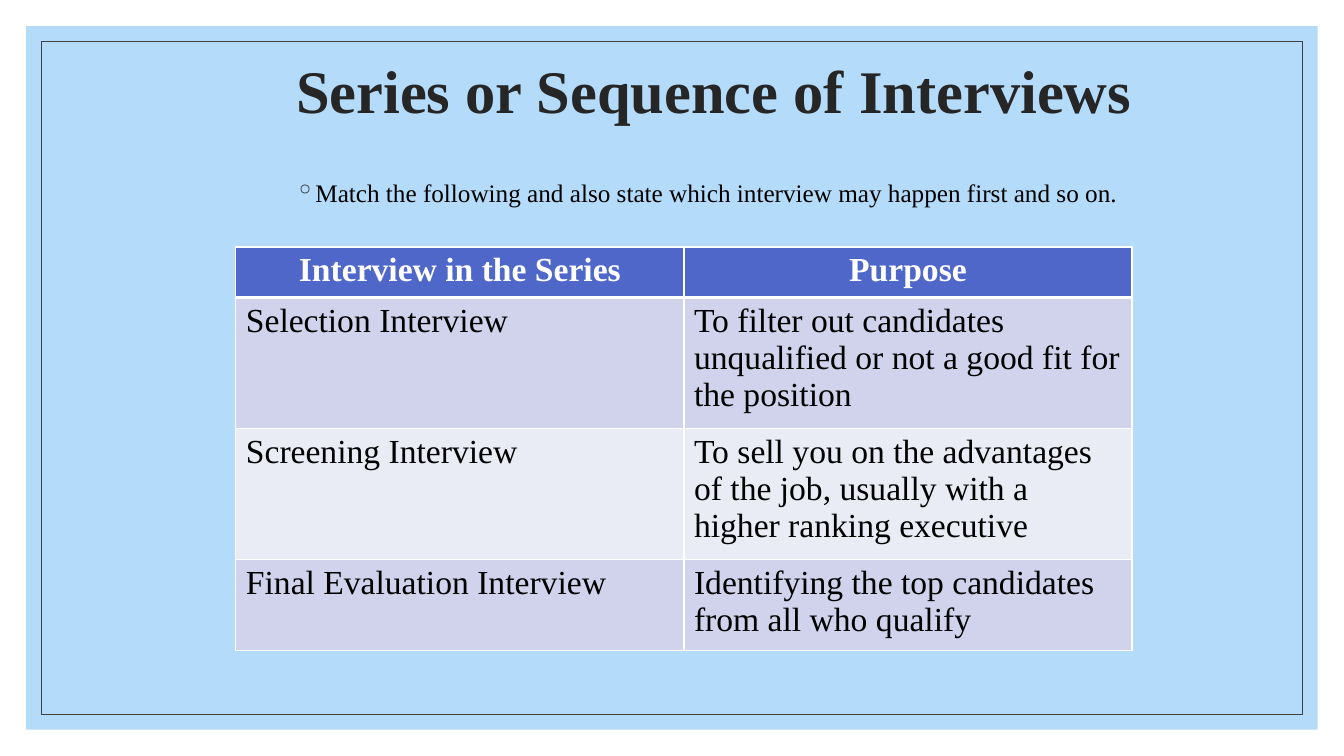
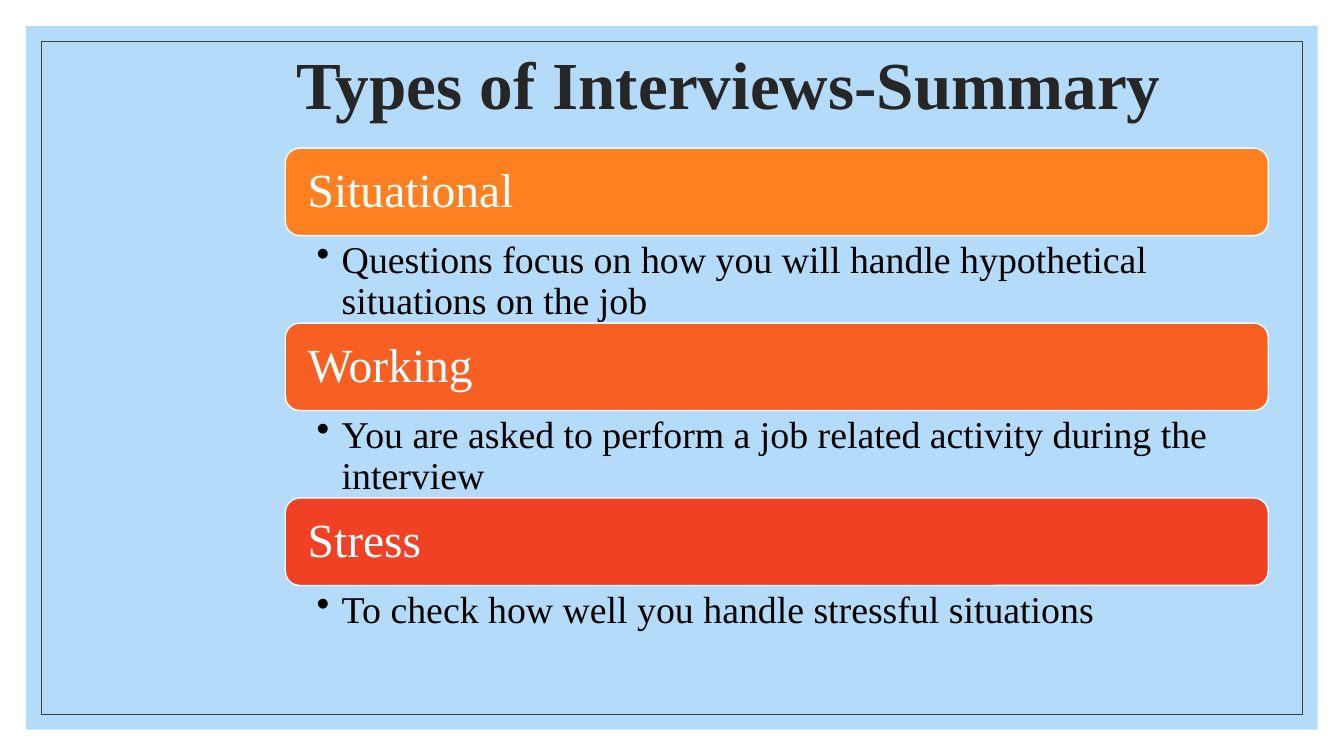
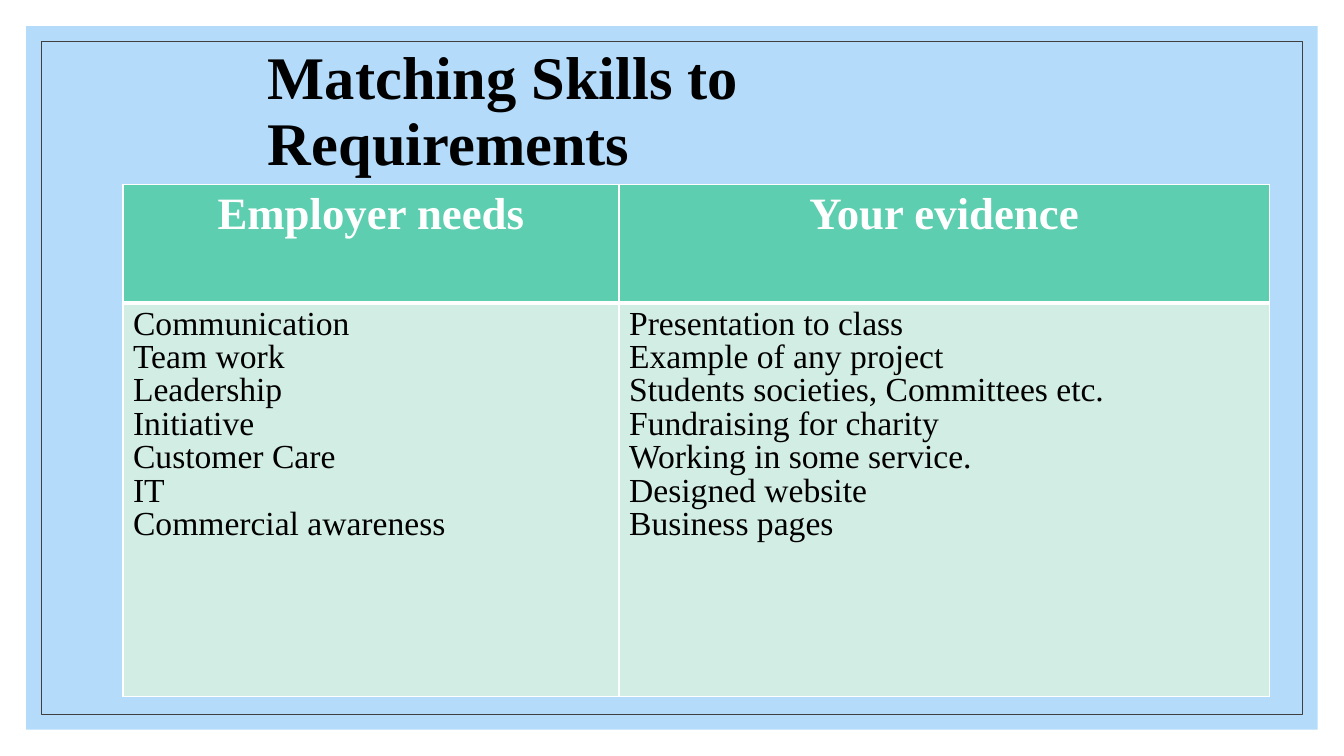
from lxml import etree
from pptx import Presentation
from pptx import util as u
from pptx.dml.color import RGBColor
from pptx.enum import shapes, text
from pptx.oxml import ns

COLORS = {
    "sky": "B4DCFA", "frame": "404040", "title": "262626", "black": "000000", "white": "FFFFFF",
    "blue": "4E67C8", "lavender": "D0D3EB", "mist": "E9EBF5",
    "green": "5DCEAF", "mint": "D2EDE3",
    "orange": "FF8021", "coral": "F85F22", "red": "F14124",
}
FONT = "Times New Roman"
LEFT, CENTER = text.PP_ALIGN.LEFT, text.PP_ALIGN.CENTER
TOP, MIDDLE = text.MSO_ANCHOR.TOP, text.MSO_ANCHOR.MIDDLE

presentation = Presentation()
presentation.slide_width = u.Inches(13.33)
presentation.slide_height = u.Inches(7.5)
COLUMN = presentation.slide_width / 100
ROW = presentation.slide_height / 100


def place(left, top, width, height):
    return [int(left * COLUMN), int(top * ROW), int(width * COLUMN), int(height * ROW)]


def write(frame, content, size, color="black", bold=False, align=LEFT, anchor=TOP, spacing=None,
          before=None, inset=(0.1, 0.05, 0.1, 0.05), bullet=None, bullet_color=None, hanging=0):
    frame.word_wrap = True
    frame.vertical_anchor = anchor
    frame.margin_left, frame.margin_top, frame.margin_right, frame.margin_bottom = map(u.Inches, inset)
    frame.text = content
    for paragraph in frame.paragraphs:
        paragraph.alignment = align
        paragraph.line_spacing = spacing
        paragraph.space_before = before
        font = paragraph.runs[0].font
        font.name, font.size, font.bold = FONT, u.Pt(size), bold
        font.color.rgb = RGBColor.from_string(COLORS[color])
        if bullet:
            properties = paragraph._p.get_or_add_pPr()
            properties.set("marL", str(u.Inches(hanging)))
            properties.set("indent", str(-u.Inches(hanging)))
            tint = etree.SubElement(properties, ns.qn("a:buClr"))
            etree.SubElement(tint, ns.qn("a:srgbClr"), val=COLORS[bullet_color or color])
            etree.SubElement(properties, ns.qn("a:buChar"), char=bullet)


titles = [
    ("Series or Sequence of Interviews", (21.3, 9.07, 73.14, 6.67), 43.2, "title"),
    ("Types of Interviews-Summary", (21.3, 6, 73.14, 11.33), 48, "title"),
    ("Matching Skills to Requirements", (19.2, 8.93, 56.86, 12), 43.2, "black"),
]
slides = []
for title, area, size, color in titles:
    slide = presentation.slides.add_slide(presentation.slide_layouts[6])
    slides.append(slide)
    for across, down, filled in [(1.95, 3.47, True), (3.07, 5.47, False)]:
        panel = slide.shapes.add_shape(shapes.MSO_SHAPE.RECTANGLE,
                                       *place(across, down, 100 - 2 * across, 100 - 2 * down))
        panel.shadow.inherit = False
        if filled:
            panel.fill.solid()
            panel.fill.fore_color.rgb = RGBColor.from_string(COLORS["sky"])
            panel.line.fill.background()
        else:
            panel.fill.background()
            panel.line.color.rgb = RGBColor.from_string(COLORS["frame"])
            panel.line.width = u.Pt(0.5)
    heading = slide.shapes.add_textbox(*place(*area))
    write(heading.text_frame, title, size=size, color=color, bold=True, anchor=MIDDLE, spacing=0.9)

task = slides[0].shapes.add_textbox(*place(21.23, 22.8, 73.14, 63.33))
write(task.text_frame, "Match the following and also state which interview may happen first and so on.",
      size=18, before=u.Pt(9), bullet="◦", bullet_color="title", hanging=0.2)

interview_types = [
    ("Situational", "Questions focus on how you will handle hypothetical situations on the job", "orange", 11.57),
    ("Working", "You are asked to perform a job related activity during the interview", "coral", 11.57),
    ("Stress", "To check how well you handle stressful situations", "red", 8.27),
]
BAR = 11.57
for index, (name, detail, color, detail_height) in enumerate(interview_types):
    top = 19.6 + 2 * BAR * index
    bar = slides[1].shapes.add_shape(shapes.MSO_SHAPE.ROUNDED_RECTANGLE, *place(21.23, top, 73.14, BAR))
    bar.shadow.inherit = False
    bar.fill.solid()
    bar.fill.fore_color.rgb = RGBColor.from_string(COLORS[color])
    bar.line.color.rgb = RGBColor.from_string(COLORS["white"])
    bar.line.width = u.Pt(1)
    write(bar.text_frame, name, size=34, color="white", anchor=MIDDLE, spacing=0.9,
          inset=(0.18, 0.14, 0.18, 0.14))
    note = slides[1].shapes.add_textbox(*place(21.23, top + BAR, 73.14, detail_height))
    write(note.text_frame, detail, size=27, spacing=0.9, inset=(0.31, 0.05, 0.26, 0.05),
          bullet="•", hanging=0.25)

interviews = [
    ("Interview in the Series", "Purpose"),
    ("Selection Interview", "To filter out candidates unqualified or not a good fit for the position"),
    ("Screening Interview", "To sell you on the advantages of the job, usually with a higher ranking executive"),
    ("Final Evaluation Interview", "Identifying the top candidates from all who qualify"),
]
skills = [
    ("Employer needs", "Your evidence"),
    ("Communication\nTeam work\nLeadership\nInitiative\nCustomer Care\nIT\nCommercial awareness",
     "Presentation to class\nExample of any project\nStudents societies, Committees etc.\n"
     "Fundraising for charity\nWorking in some service.\nDesigned website\nBusiness pages"),
]
tables = [
    (slides[0], interviews, (17.55, 32.67), (33.34, 33.34), (6.2, 16.1, 16.1, 11.2),
     ("blue", "lavender", "mist", "lavender"), 24, None),
    (slides[2], skills, (9.15, 24.4), (36.91, 48.39), (15.73, 52), ("green", "mint"), 32, 0.9),
]
for slide, entries, corner, widths, heights, fills, header_size, spacing in tables:
    table = slide.shapes.add_table(len(heights), len(widths),
                                   *place(*corner, sum(widths), sum(heights))).table
    for column, width in zip(table.columns, widths):
        column.width = int(width * COLUMN)
    for index, (row, height) in enumerate(zip(table.rows, heights)):
        row.height = int(height * ROW)
        header = index == 0
        for cell, entry in zip(row.cells, entries[index]):
            write(cell.text_frame, entry, size=header_size if header else 24,
                  color="white" if header else "black", bold=header,
                  align=CENTER if header else LEFT, spacing=None if header else spacing)
            properties = cell._tc.get_or_add_tcPr()
            for side in "LRTB":
                thick = (index, side) in [(0, "B"), (1, "T")]
                border = etree.SubElement(properties, ns.qn("a:ln" + side), w=str(u.Pt(3 if thick else 1)))
                paint = etree.SubElement(border, ns.qn("a:solidFill"))
                etree.SubElement(paint, ns.qn("a:srgbClr"), val=COLORS["white"])
            cell.fill.solid()
            cell.fill.fore_color.rgb = RGBColor.from_string(COLORS[fills[index]])

presentation.save("out.pptx")
